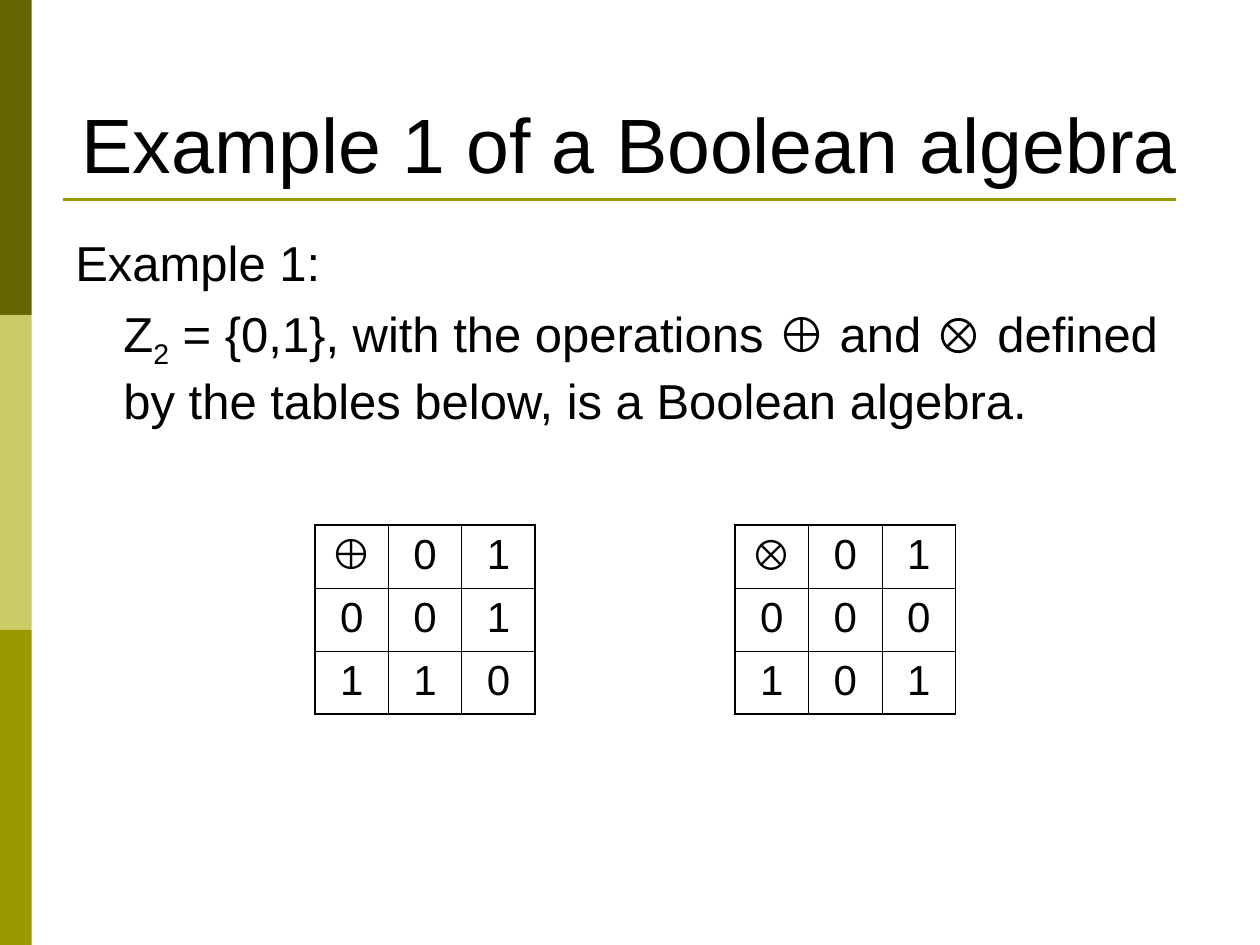
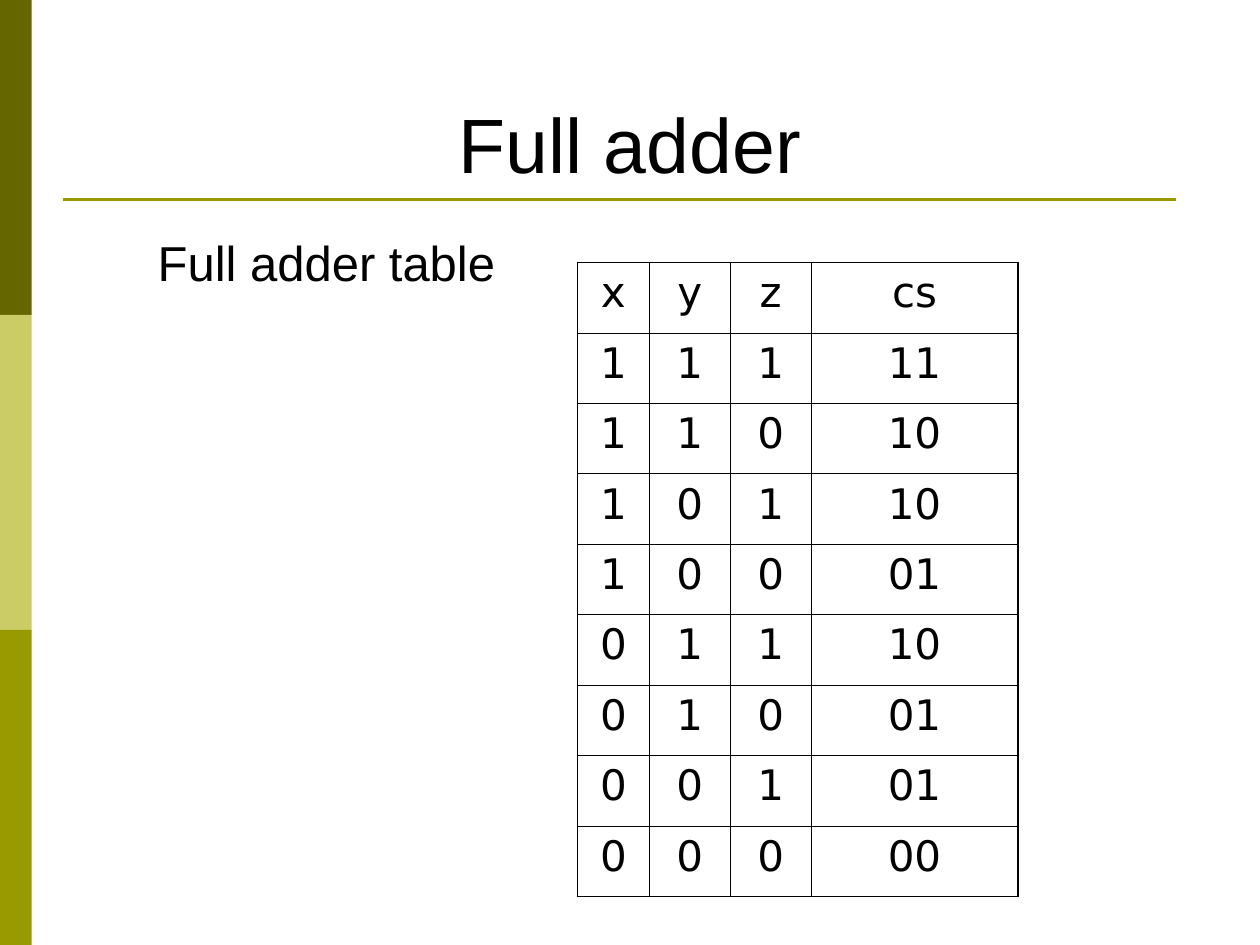
from lxml import etree
from pptx import Presentation
from pptx.dml.color import RGBColor
from pptx.enum.shapes import MSO_CONNECTOR, MSO_SHAPE
from pptx.enum.text import MSO_ANCHOR, MSO_AUTO_SIZE, PP_ALIGN
from pptx.oxml.ns import qn
from pptx.util import Cm, Pt

RECT = MSO_SHAPE.RECTANGLE
STRAIGHT = MSO_CONNECTOR.STRAIGHT
BOTTOM = MSO_ANCHOR.BOTTOM
NO_AUTOFIT = MSO_AUTO_SIZE.NONE
CENTER = PP_ALIGN.CENTER

BLACK = "000000"
OLIVE = "999900"
BANDS = ["666600", "CCCC66", OLIVE]
BAND_WIDTH, BAND_HEIGHT = 0.64, 6.35
OUTER, INNER = 1.08, 0.45


def color(hex_string):
    return RGBColor.from_string(hex_string)


def add_grid(slide, left, top, col_widths, row_height, rows, font_name):
    """Add a plain table with a heavier outer frame and thin inner rules."""
    n_rows, n_cols = len(rows), len(col_widths)
    table = slide.shapes.add_table(
        n_rows, n_cols, Cm(left), Cm(top),
        Cm(sum(col_widths)), Cm(row_height * n_rows)).table
    table.first_row = table.horz_banding = False
    for column, width in zip(table.columns, col_widths):
        column.width = Cm(width)
    for r, values in enumerate(rows):
        table.rows[r].height = Cm(row_height)
        for c, value in enumerate(values):
            cell = table.cell(r, c)
            on_edge = {"lnL": c == 0, "lnR": c == n_cols - 1,
                       "lnT": r == 0, "lnB": r == n_rows - 1}
            tc_pr = cell._tc.get_or_add_tcPr()
            for side, outer in on_edge.items():
                width = Pt(OUTER if outer else INNER)
                ln = etree.SubElement(tc_pr, qn("a:" + side), w=str(int(width)))
                fill = etree.SubElement(ln, qn("a:solidFill"))
                etree.SubElement(fill, qn("a:srgbClr"), val=BLACK)
            cell.fill.background()
            cell.text = value
            p = cell.text_frame.paragraphs[0]
            p.alignment = CENTER
            p.font.name = font_name
            p.font.size = Pt(24)
            p.font.color.rgb = color(BLACK)


prs = Presentation()
prs.slide_width, prs.slide_height = Cm(25.4), Cm(19.05)

# Each paragraph is a left margin and its runs; each run is text and subscript flag
slide_texts = [
    ("Example 1 of a Boolean algebra", (23.29, 4.65), [
        (0, [("Example 1:", False)]),
        (0.97, [("Z", False), ("2", True),
                (" = {0,1}, with the operations ⊕ and ⊗ defined by the tables "
                 "below, is a Boolean algebra.", False)])]),
    ("Full adder", (22.86, 12.57), [(1.66, [("Full adder table", False)])]),
]

for title_text, (body_width, body_height), paragraphs in slide_texts:
    slide = prs.slides.add_slide(prs.slide_layouts[5])

    for i, band in enumerate(BANDS):
        sp = slide.shapes.add_shape(RECT, 0, Cm(i * BAND_HEIGHT),
                                    Cm(BAND_WIDTH), Cm(BAND_HEIGHT))
        sp.shadow.inherit = False
        sp.fill.solid()
        sp.fill.fore_color.rgb = color(band)
        sp.line.fill.background()

    rule = slide.shapes.add_connector(STRAIGHT, Cm(1.27), Cm(4.02),
                                      Cm(23.7), Cm(4.02))
    rule.line.color.rgb = color(OLIVE)
    rule.line.width = Pt(1.5)
    etree.SubElement(rule._element.spPr, qn("a:effectLst"))

    title = slide.shapes.title
    title.left, title.top = Cm(1.27), Cm(0.76)
    title.width, title.height = Cm(22.86), Cm(3.18)
    tf = title.text_frame
    tf.text = title_text
    tf.vertical_anchor = BOTTOM
    tf.auto_size = NO_AUTOFIT
    p = tf.paragraphs[0]
    p.alignment = CENTER
    p.font.name = "Arial"
    p.font.size = Pt(44)
    p.font.color.rgb = color(BLACK)

    body = slide.shapes.add_textbox(Cm(1.27), Cm(4.45),
                                    Cm(body_width), Cm(body_height))
    tf = body.text_frame
    tf.word_wrap = True
    tf.margin_top = Cm(0.23)
    for i, (margin, runs) in enumerate(paragraphs):
        p = tf.add_paragraph() if i else tf.paragraphs[0]
        if i:
            p.space_before = Pt(7)
        p._p.get_or_add_pPr().set("marL", str(int(Cm(margin))))
        p.font.name = "Arial"
        p.font.size = Pt(28)
        p.font.color.rgb = color(BLACK)
        for text, subscript in runs:
            run = p.add_run()
            run.text = text
            if subscript:
                run.font._element.set("baseline", "-25000")

boolean_slide, adder_slide = prs.slides

# Operation tables: header row, then the results for 0 and 1
add_grid(boolean_slide, 6.35, 10.58, [1.48] * 3, 1.27,
         ["⊕01", "001", "110"], "Arial")
add_grid(boolean_slide, 14.82, 10.58, [1.48] * 3, 1.27,
         ["⊗01", "000", "101"], "Arial")

# The carry and sum digits are the binary count of ones among x, y and z
adder_rows = [["x", "y", "z", "cs"]]
for n in range(7, -1, -1):
    bits = f"{n:03b}"
    adder_rows.append([*bits, f"{bits.count('1'):02b}"])
add_grid(adder_slide, 11.64, 5.29, [1.45, 1.63, 1.63, 4.17], 1.42,
         adder_rows, "DejaVu Sans")

prs.save("out.pptx")
